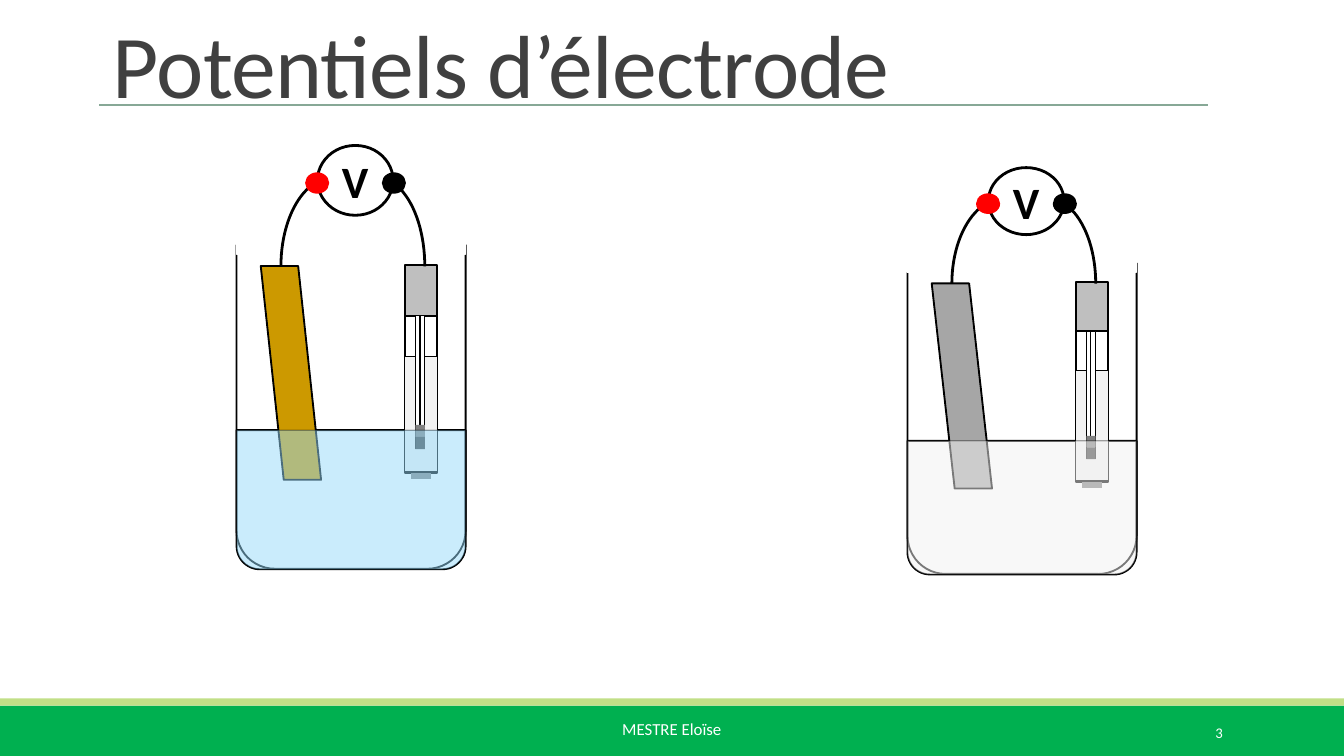
from lxml import etree
from pptx import Presentation
from pptx.dml.color import RGBColor
from pptx.enum.shapes import MSO_CONNECTOR, MSO_SHAPE
from pptx.enum.text import MSO_ANCHOR, MSO_AUTO_SIZE, PP_ALIGN
from pptx.oxml.ns import qn
from pptx.util import Cm, Pt

RECTANGLE = MSO_SHAPE.RECTANGLE
ELLIPSE = MSO_SHAPE.OVAL
ARC = MSO_SHAPE.ARC
PARALLELOGRAM = MSO_SHAPE.PARALLELOGRAM
VESSEL = MSO_SHAPE.ROUND_2_SAME_RECTANGLE
STRAIGHT = MSO_CONNECTOR.STRAIGHT
MIDDLE, TOP, BOTTOM = MSO_ANCHOR.MIDDLE, MSO_ANCHOR.TOP, MSO_ANCHOR.BOTTOM
LEFT, CENTER, RIGHT = PP_ALIGN.LEFT, PP_ALIGN.CENTER, PP_ALIGN.RIGHT

BLACK, WHITE, RED = "000000", "FFFFFF", "FF0000"
DARK_GRAY, MID_GRAY, LIGHT_GRAY, PALE_GRAY = "404040", "808080", "BFBFBF", "F2F2F2"


def color(hex_string):
    return RGBColor.from_string(hex_string)


class SlideBuilder:
    """Draws on a slide, or in the group that is current, in centimetres."""

    font_name = "Calibri"

    def __init__(self, slide):
        self.slide = slide
        self.shapes = slide.shapes
        self.left, self.top, self.stretch = 0, 0, 1

    def start_group(self, left, top, stretch):
        """Place what follows in a group, its heights scaled by stretch."""
        self.shapes = self.slide.shapes.add_group_shape().shapes
        self.left, self.top, self.stretch = left, top, stretch

    def x(self, value):
        return Cm(self.left + value)

    def y(self, value):
        return Cm(self.top + value * self.stretch)

    def shape(self, kind, left, top, width, height, fill=None, line=None,
              line_width=1, rotation=0, flip=None, opacity=None):
        """The box is the one seen on the slide, after any rotation."""
        x, y = self.x(left), self.y(top)
        w, h = Cm(width), Cm(height * self.stretch)
        if rotation == 90:
            x, y, w, h = x + (w - h) // 2, y + (h - w) // 2, h, w
        shape = self.shapes.add_shape(kind, x, y, w, h)
        shape.shadow.inherit = False
        shape.rotation = rotation
        if flip:
            shape._element.spPr.find(qn("a:xfrm")).set(flip, "1")
        if fill:
            shape.fill.solid()
            shape.fill.fore_color.rgb = color(fill)
        else:
            shape.fill.background()
        if opacity:
            fill_color = shape._element.spPr.find(qn("a:solidFill"))[0]
            etree.SubElement(fill_color, qn("a:alpha"), val=str(opacity * 1000))
        if line:
            shape.line.color.rgb = color(line)
            shape.line.width = Pt(line_width)
        else:
            shape.line.fill.background()
        return shape

    def line(self, x1, y1, x2, y2, line_color, width=1):
        connector = self.shapes.add_connector(
            STRAIGHT, self.x(x1), self.y(y1), self.x(x2), self.y(y2))
        connector.line.color.rgb = color(line_color)
        connector.line.width = Pt(width)
        etree.SubElement(connector._element.spPr, qn("a:effectLst"))

    def set_text(self, shape, text, size, font_color, alignment, anchor, bold=False):
        frame = shape.text_frame
        frame.text = text
        frame.vertical_anchor = anchor
        paragraph = frame.paragraphs[0]
        paragraph.alignment = alignment
        font = paragraph.runs[0].font
        font.name, font.size, font.bold = self.font_name, Pt(size), bold
        font.color.rgb = color(font_color)
        return paragraph

    def title(self, text, left, top, width, height):
        title = self.slide.shapes.title
        title.left, title.top = Cm(left), Cm(top)
        title.width, title.height = Cm(width), Cm(height)
        paragraph = self.set_text(title, text, 48, DARK_GRAY, LEFT, BOTTOM)
        paragraph.line_spacing = 0.85
        paragraph.runs[0].font._element.set("spc", "-40")
        title.text_frame.auto_size = MSO_AUTO_SIZE.NONE

    def text(self, text, left, top, width, height, size, alignment, anchor, wrap):
        box = self.shapes.add_textbox(Cm(left), Cm(top), Cm(width), Cm(height))
        box.text_frame.word_wrap = wrap
        self.set_text(box, text, size, WHITE, alignment, anchor)

    def half_cell(self, left, top, stretch, metal, solution):
        """A metal plate and a reference electrode joined by a voltmeter."""
        self.start_group(left, top, stretch)
        width = 4.33
        liquid = (VESSEL, 0, 3.68, width, 2.63)
        self.shape(VESSEL, 0, 0.18, width, 6.12, line=BLACK, rotation=180)
        self.shape(*liquid, line=BLACK, rotation=180)
        self.shape(RECTANGLE, 0, 0, width, 0.36, WHITE, WHITE, flip="flipV")

        # Reference electrode: cap, tube, gel, inner tube, wire and tips
        for y, height, fill, line_width in ((0.56, 0.97, LIGHT_GRAY, 1),
                                            (1.52, 2.97, WHITE, 1),
                                            (2.29, 2.18, PALE_GRAY, 0.5)):
            self.shape(RECTANGLE, 3.18, y, 0.61, height, fill, BLACK,
                       line_width, rotation=90)
        self.shape(RECTANGLE, 3.38, 1.52, 0.18, 2.51, WHITE, BLACK, 0.5)
        self.line(3.3, 4.55, 3.68, 4.55, MID_GRAY, 3)
        self.line(3.46, 1.52, 3.46, 3.66, BLACK)
        for y, fill in ((3.58, MID_GRAY), (3.81, DARK_GRAY)):
            self.shape(RECTANGLE, 3.38, y, 0.18, 0.23, fill)

        plate = self.shape(PARALLELOGRAM, 0.46, 0.58, 1.14, 4.04, metal, BLACK,
                           flip="flipH")
        plate.adjustments[0] = 0.38
        for x, arc_width, flip in ((1.75, 1.81, None), (0.84, 1.96, "flipH")):
            self.shape(ARC, x, -1.09, arc_width, 3.35, None, BLACK, 1.5, flip=flip)

        voltmeter = self.shape(ELLIPSE, 1.53, -1.7, 1.43, 1.32, WHITE, BLACK, 1.5)
        frame = voltmeter.text_frame
        frame.margin_left = frame.margin_right = 0
        frame.margin_top = frame.margin_bottom = 0
        frame.word_wrap = False
        self.set_text(voltmeter, "V", 24, BLACK, CENTER, MIDDLE, bold=True)

        self.shape(*liquid, solution, BLACK, 0.25, rotation=180, opacity=50)
        for x, terminal in ((1.32, RED), (2.77, BLACK)):
            self.shape(ELLIPSE, x, -1.17, 0.41, 0.36, terminal, terminal, 1.25)


def main():
    presentation = Presentation()
    presentation.slide_width, presentation.slide_height = Cm(25.4), Cm(14.29)
    title_only = presentation.slide_layouts[5]
    builder = SlideBuilder(presentation.slides.add_slide(title_only))

    builder.shape(RECTANGLE, 0, 13.34, 25.4, 0.95, "00B050")
    builder.shape(RECTANGLE, 0, 13.2, 25.4, 0.14, "C1DF87")
    builder.line(1.88, 1.98, 22.83, 1.98, "87A896")
    builder.text("MESTRE Eloïse", 11.51, 13.46, 2.39, 1.14, 9, LEFT, TOP, False)
    builder.text("3", 20.62, 13.46, 2.74, 0.76, 7.9, RIGHT, MIDDLE, True)
    builder.title("Potentiels d’électrode", 1.88, 0.41, 20.95, 1.93)

    builder.half_cell(4.47, 4.45, 1, metal="CC9900", solution="97DBFB")
    builder.half_cell(17.15, 4.8, 0.96, metal="A6A6A6", solution=PALE_GRAY)
    presentation.save("out.pptx")


if __name__ == "__main__":
    main()
